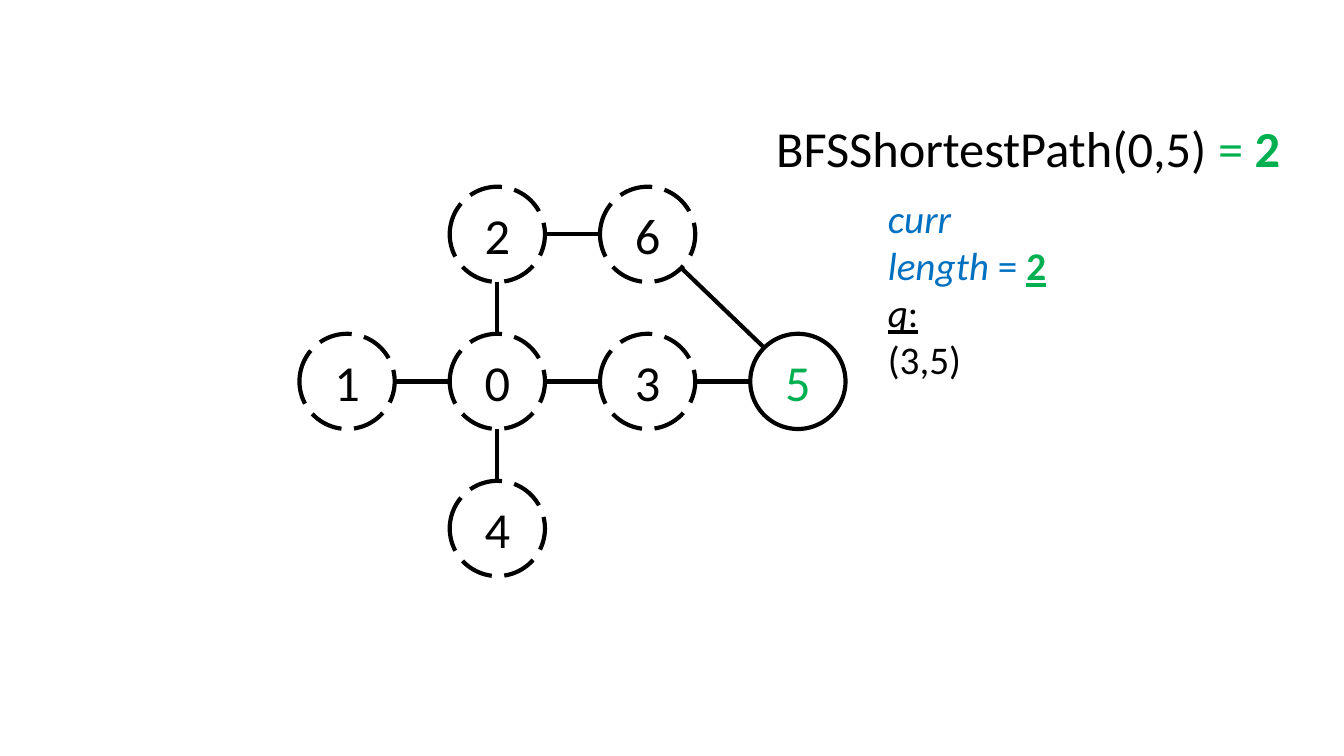
from math import hypot

from lxml.etree import SubElement
from pptx import Presentation
from pptx.dml.color import RGBColor
from pptx.enum.dml import MSO_LINE
from pptx.enum.shapes import MSO_CONNECTOR as Connector, MSO_SHAPE as Shape
from pptx.enum.text import MSO_ANCHOR as Anchor, PP_ALIGN as Align
from pptx.oxml.ns import qn
from pptx.util import Cm, Pt

BLACK, GREEN, BLUE = "000000", "00B050", "0070C0"
DIAMETER = 1.8

# Graph: vertex -> (column, row)
VERTICES = {"0": (1, 1), "1": (0, 1), "2": (1, 0), "3": (2, 1),
            "4": (1, 2), "5": (3, 1), "6": (2, 0)}
EDGES = ["10", "02", "03", "04", "35", "26", "56"]
TARGET = "5"


def colour(hex_code):
    return RGBColor.from_string(hex_code)


def style_run(run, size, hex_code, bold=False, italic=False, underline=False):
    font = run.font
    font.name, font.size = "Calibri", Pt(size)
    font.color.rgb = colour(hex_code)
    font.bold, font.italic, font.underline = bold, italic, underline


def style_line(line, dashed=False):
    line.color.rgb = colour(BLACK)
    line.width = Pt(2.25)
    if dashed:
        line.dash_style = MSO_LINE.LONG_DASH


def set_insets(frame):
    frame.margin_left = frame.margin_right = Cm(0.19)
    frame.margin_top = frame.margin_bottom = Cm(0.1)
    frame.word_wrap = True


def add_vertex(slide, label, x, y):
    vertex = slide.shapes.add_shape(
        Shape.OVAL, Cm(x - DIAMETER / 2), Cm(y - DIAMETER / 2),
        Cm(DIAMETER), Cm(DIAMETER))
    vertex.shadow.inherit = False
    vertex.fill.background()
    style_line(vertex.line, dashed=label != TARGET)
    frame = vertex.text_frame
    set_insets(frame)
    frame.vertical_anchor = Anchor.MIDDLE
    frame.text = label
    caption = frame.paragraphs[0]
    caption.alignment = Align.CENTER
    style_run(caption.runs[0], 27, GREEN if label == TARGET else BLACK)


def add_edge(slide, start, end, centres):
    # Each edge stops on the rim, at a multiple of 45 degrees
    (x1, y1), (x2, y2) = centres[start], centres[end]
    (col1, row1), (col2, row2) = VERTICES[start], VERTICES[end]
    across, down = col2 - col1, row2 - row1
    reach = DIAMETER / 2 / hypot(across, down)
    dx, dy = across * reach, down * reach
    edge = slide.shapes.add_connector(
        Connector.STRAIGHT, Cm(x1 + dx), Cm(y1 + dy), Cm(x2 - dx), Cm(y2 - dy))
    style_line(edge.line)
    SubElement(edge.line._get_or_add_ln().getparent(), qn("a:effectLst"))


def add_graph(slide, left, top, width, height):
    column_step = (width - DIAMETER) / 3
    row_step = (height - DIAMETER) / 2
    centres = {label: (left + DIAMETER / 2 + col * column_step,
                       top + DIAMETER / 2 + row * row_step)
               for label, (col, row) in VERTICES.items()}
    for label, (x, y) in centres.items():
        add_vertex(slide, label, x, y)
    for start, end in EDGES:
        # Unit steps between neighbours, in grid terms
        add_edge(slide, start, end, centres)


def add_lines(slide, left, top, width, height, size, lines):
    box = slide.shapes.add_textbox(Cm(left), Cm(top), Cm(width), Cm(height))
    frame = box.text_frame
    set_insets(frame)
    for index, pieces in enumerate(lines):
        paragraph = frame.add_paragraph() if index else frame.paragraphs[0]
        for text, hex_code, look in pieces:
            run = paragraph.add_run()
            run.text = text
            style_run(run, size, hex_code, **look)


def add_call(slide, left, top, width, height):
    add_lines(slide, left, top, width, height, 27, [
        [("BFSShortestPath(0,5)", BLACK, {}), (" = ", GREEN, {}),
         ("2", GREEN, {"bold": True})]])


def add_state(slide, left, top, width, height):
    italic = {"italic": True}
    underlined = {"underline": True}
    add_lines(slide, left, top, width, height, 21, [
        [("curr", BLUE, italic)],
        [("length", BLUE, italic), (" = ", BLUE, {}),
         ("2", GREEN, {"bold": True, **underlined})],
        [("q", BLACK, {**italic, **underlined}), (":", BLACK, underlined)],
        [("(3,5)", BLACK, {})]])


def main():
    deck = Presentation()
    deck.slide_width, deck.slide_height = Cm(25.4), Cm(14.29)
    slide = deck.slides.add_slide(deck.slide_layouts[6])

    # Graph, function call with its result, search state
    add_graph(slide, 5.66, 3.53, 10.32, 7.36)
    add_call(slide, 14.48, 2.11, 10.06, 1.35)
    add_state(slide, 16.59, 3.58, 7.06, 3.78)

    deck.save("out.pptx")


if __name__ == "__main__":
    main()
